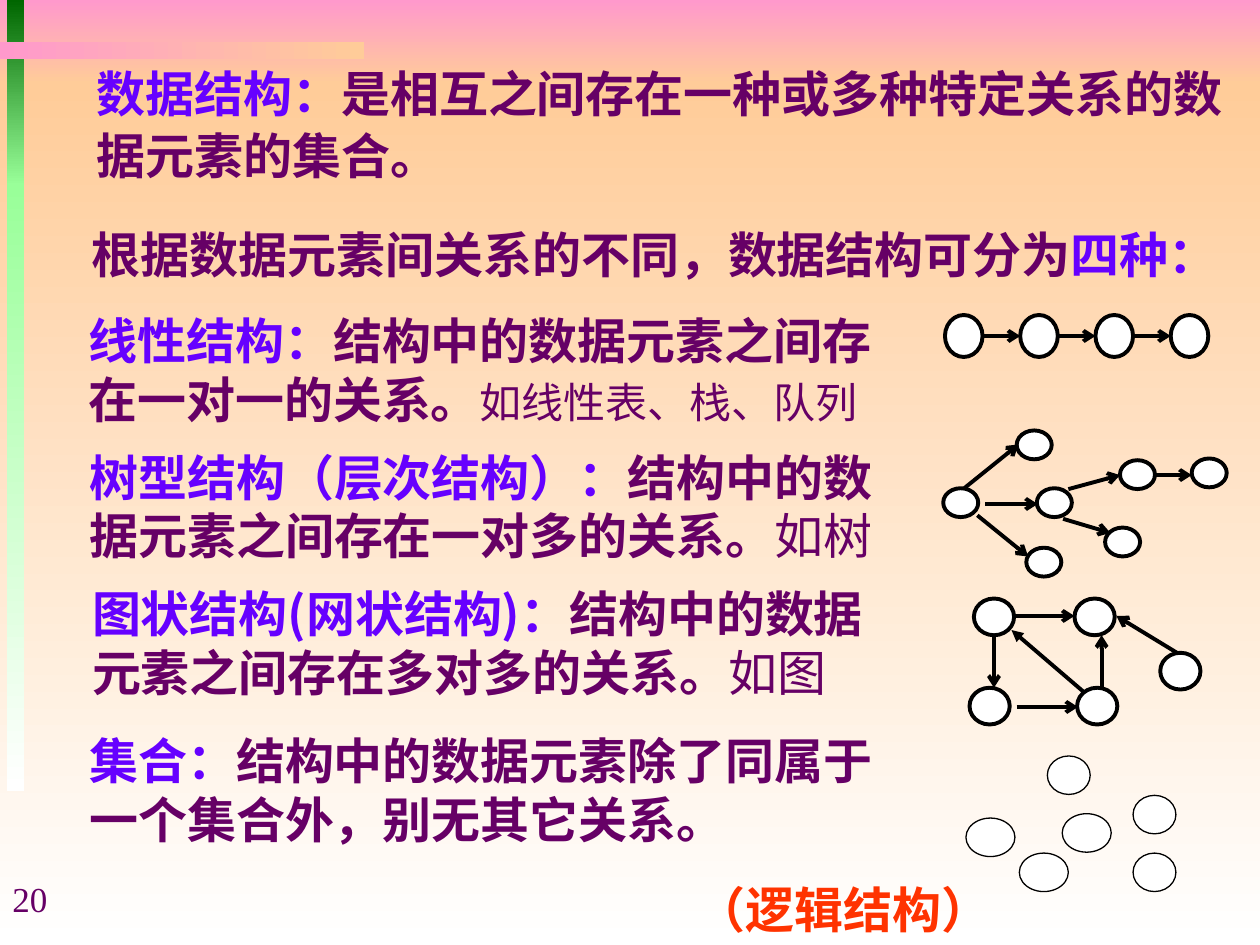
from dataclasses import dataclass

from lxml.etree import SubElement
from pptx import Presentation
from pptx.dml.color import RGBColor
from pptx.enum.shapes import MSO_CONNECTOR as Link, MSO_SHAPE as Preset
from pptx.enum.text import MSO_ANCHOR as Anchor, MSO_AUTO_SIZE as Fit, PP_ALIGN as Align
from pptx.oxml.ns import qn
from pptx.util import Pt


@dataclass(frozen=True)
class Theme:
    term: str = "6600FF"
    body: str = "660066"
    accent: str = "FF3300"
    ink: str = "000000"
    white: str = "FFFFFF"
    pink: str = "FF99CC"
    peach: str = "FFCC99"
    dark_green: str = "006600"
    light_green: str = "99FF99"
    sans: str = "Noto Sans CJK SC"
    serif: str = "Times New Roman"
    main_size: float = 28
    example_size: float = 24
    number_size: float = 20
    heavy: float = 2.25
    thin: float = 0.75


THEME = Theme()


def rgb(value):
    return RGBColor.from_string(value)


def term(words):
    return words, {"color": THEME.term}


def example(words, size=THEME.main_size):
    return words, {"bold": False, "font": THEME.serif, "size": size}


def write(frame, *runs, align=Align.LEFT, wrap=True, fit=Fit.SHAPE_TO_FIT_TEXT,
          spacing=None, **base):
    """Fill a text frame; each run is a string or a (string, format) pair."""
    frame.word_wrap = wrap
    frame.auto_size = fit
    frame.vertical_anchor = Anchor.TOP
    paragraph = frame.paragraphs[0]
    paragraph.alignment = align
    paragraph.space_before = Pt(0)
    if spacing:
        paragraph.line_spacing = spacing
    defaults = {"size": THEME.main_size, "color": THEME.body, "bold": True,
                "font": THEME.sans}
    for item in runs:
        words, own = (item, {}) if isinstance(item, str) else item
        style = {**defaults, **base, **own}
        run = paragraph.add_run()
        run.text = words
        run.font.size = Pt(style["size"])
        run.font.bold = style["bold"]
        run.font.name = style["font"]
        run.font.color.rgb = rgb(style["color"])
        SubElement(run.font._element, qn("a:ea"), typeface=THEME.sans)


def text_box(slide, box, *runs, **style):
    frame = slide.shapes.add_textbox(*map(Pt, box)).text_frame
    write(frame, *runs, **style)


def gradient_bar(slide, box, start, end, angle=270):
    bar = slide.shapes.add_shape(Preset.RECTANGLE, *map(Pt, box))
    bar.shadow.inherit = False
    bar.line.fill.background()
    bar.fill.gradient()
    bar.fill.gradient_angle = angle
    for stop, color in zip(bar.fill.gradient_stops, (start, end)):
        stop.color.rgb = rgb(color)


def node(group, box, weight=THEME.heavy):
    circle = group.shapes.add_shape(Preset.OVAL, *map(Pt, box))
    circle.shadow.inherit = False
    circle.fill.solid()
    circle.fill.fore_color.rgb = rgb(THEME.white)
    circle.line.color.rgb = rgb(THEME.ink)
    circle.line.width = Pt(weight)


def arrow(group, x1, y1, x2, y2, head="arrow"):
    edge = group.shapes.add_connector(Link.STRAIGHT, Pt(x1), Pt(y1), Pt(x2), Pt(y2))
    edge.line.color.rgb = rgb(THEME.ink)
    edge.line.width = Pt(THEME.heavy)
    SubElement(edge.line._get_or_add_ln(), qn("a:tailEnd"), type=head)
    SubElement(edge._element.spPr, qn("a:effectLst"))


def backdrop(slide, width, height):
    band, split = 48, 106
    gradient_bar(slide, (0, 0, width, band), THEME.pink, THEME.peach)
    gradient_bar(slide, (0, band, width, height - band), THEME.peach, THEME.white)
    # Green side bar and the pink bar across it
    gradient_bar(slide, (4, 0, 10, split), THEME.dark_green, THEME.light_green)
    gradient_bar(slide, (4, split, 10, 346), THEME.light_green, THEME.white)
    gradient_bar(slide, (0, 24, 208, 10), THEME.pink, THEME.peach, angle=0)


def definition(slide, box):
    body = slide.placeholders[1]
    slide.shapes._spTree.append(body._element)  # bring in front of the backdrop
    body.left, body.top, body.width, body.height = map(Pt, box)
    properties = body.text_frame.paragraphs[0]._p.get_or_add_pPr()
    properties.set("marL", "0")
    properties.set("indent", "0")
    SubElement(properties, qn("a:buNone"))
    write(body.text_frame, term("数据结构："),
          "是相互之间存在一种或多种特定关系的数据元素的集合。",
          fit=Fit.NONE, spacing=1.05)


def linear_figure(slide, left, top):
    group = slide.shapes.add_group_shape()
    width, height, pitch, count = 21.5, 24, 43, 4
    for i in range(count):
        node(group, (left + i * pitch, top, width, height))
    middle = top + height / 2
    for i in range(count - 1):
        arrow(group, left + i * pitch + width, middle, left + (i + 1) * pitch, middle)


def network_figure(slide, left, top, size, nodes, edges):
    """Nodes and arrows, both measured from the figure's corner."""
    group = slide.shapes.add_group_shape()
    for x, y in nodes:
        node(group, (left + x, top + y, *size))
    for x1, y1, x2, y2, *head in edges:
        arrow(group, left + x1, top + y1, left + x2, top + y2, *head)


def tree_figure(slide, left, top):
    nodes = [(0, 33), (42, 0), (53.5, 33), (47.5, 67), (101, 17), (92.5, 55.5), (142, 16)]
    edges = [(24, 42, 54, 42), (12, 33, 43, 8), (19.5, 48.5, 48.5, 72),
             (71.5, 33.5, 101, 25.5), (68.5, 50.5, 95.5, 58.5), (121.5, 25.5, 142, 25.5)]
    network_figure(slide, left, top, (20, 16.5), nodes, edges)


def graph_figure(slide, left, top):
    nodes = [(0, 51), (2.5, 0), (61.5, 51), (60, 0), (109, 31)]
    edges = [(27, 62, 62, 62), (25.5, 10, 60, 10), (14, 21, 14, 51),
             (75.5, 51, 75.5, 21), (118.5, 31, 84, 10), (66, 54, 24, 18, "triangle")]
    network_figure(slide, left, top, (23, 21), nodes, edges)


def set_figure(slide, left, top):
    group = slide.shapes.add_group_shape()
    wide, narrow, height = 28, 24.5, 22
    for x, y, width in [(55, 33, wide), (30.5, 55.5, wide), (0, 35.5, wide),
                        (95.5, 55.5, narrow), (95.5, 22.5, narrow), (46.5, 0, narrow)]:
        node(group, (left + x, top + y, width, height), THEME.thin)


def structure_texts(slide):
    text_box(slide, (45.5, 125, 657, 41), "根据数据元素间关系的不同，数据结构可分为",
             term("四种："), wrap=False)
    text_box(slide, (43.5, 174, 473, 75), term("线性结构："),
             "结构中的数据元素之间存在一对一的关系。",
             example("如线性表、栈、队列", THEME.example_size))
    text_box(slide, (44, 252, 483, 75), term("树型结构（层次结构）："),
             "结构中的数据元素之间存在一对多的关系。", example("如树"))
    text_box(slide, (45.5, 330, 469, 75), term("图状结构(网状结构)："),
             "结构中的数据元素之间存在多对多的关系。", example("如图"))
    text_box(slide, (44, 414, 468, 75), term("集合："),
             "结构中的数据元素除了同属于一个集合外，别无其它关系。")


def footer(slide):
    text_box(slide, (0, 498, 50, 32), "20", size=THEME.number_size, bold=False,
             font=THEME.serif)
    text_box(slide, (391, 499, 182, 41), "（逻辑结构）", color=THEME.accent,
             align=Align.CENTER, wrap=False)


def main():
    deck = Presentation()
    width, height = 720, 540
    deck.slide_width, deck.slide_height = Pt(width), Pt(height)
    slide = deck.slides.add_slide(deck.slide_layouts[1])
    heading = slide.shapes.title._element
    heading.getparent().remove(heading)

    backdrop(slide, width, height)
    definition(slide, (48, 31, 672, 78))
    structure_texts(slide)
    linear_figure(slide, 540, 180)
    tree_figure(slide, 539, 246)
    graph_figure(slide, 554, 342)
    set_figure(slide, 552, 432)
    footer(slide)
    deck.save("out.pptx")


if __name__ == "__main__":
    main()
